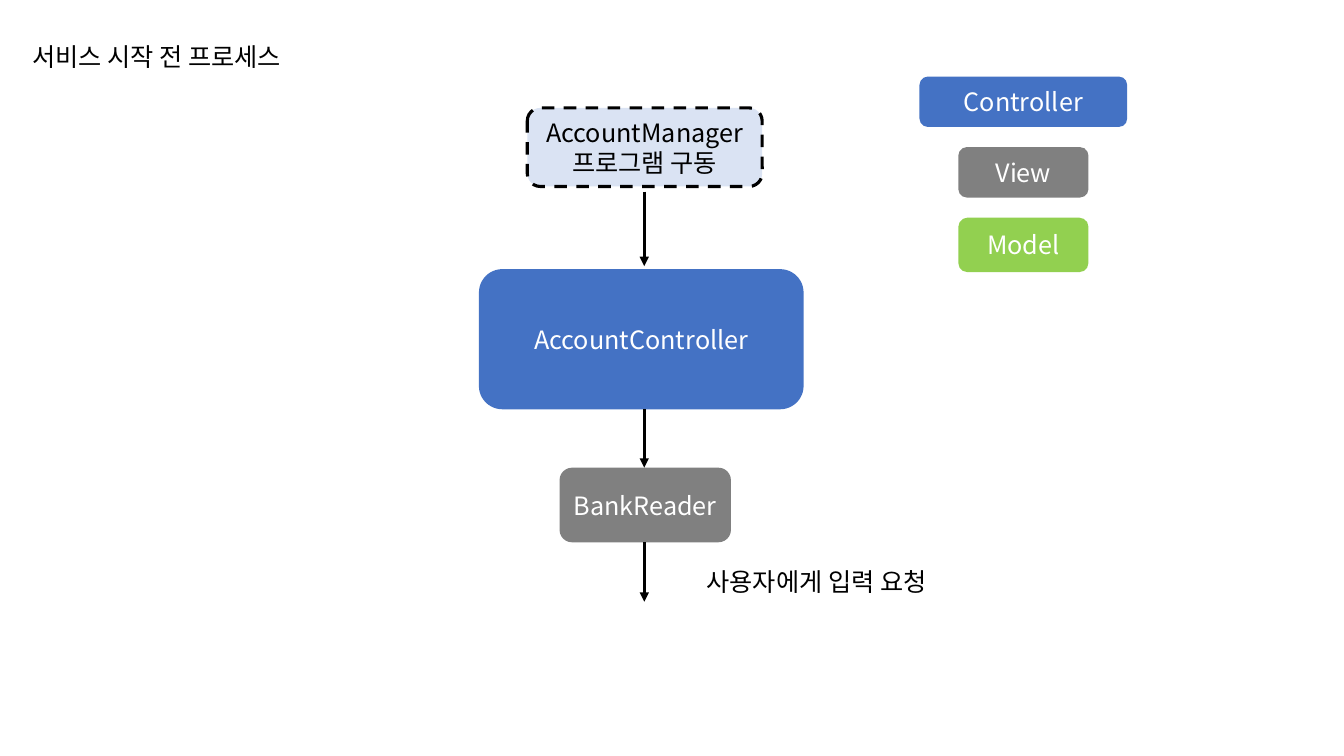
"""Build the slide showing the process before the service starts."""
from lxml import etree
from pptx import Presentation
from pptx.dml.color import RGBColor
from pptx.enum import dml, shapes, text
from pptx.oxml.ns import qn
from pptx.util import Inches, Pt

FONT = "Noto Sans CJK KR"
BLACK = RGBColor(0x00, 0x00, 0x00)
WHITE = RGBColor(0xFF, 0xFF, 0xFF)
BLUE = RGBColor(0x44, 0x72, 0xC4)
PALE_BLUE = RGBColor(0xDA, 0xE3, 0xF3)
GRAY = RGBColor(0x80, 0x80, 0x80)
GREEN = RGBColor(0x92, 0xD0, 0x50)

HEADING = ("서비스 시작 전 프로세스", (0.22, 0.36, 3.49, 0.4))
REQUEST = ("사용자에게 입력 요청", (6.91, 5.57, 2.59, 0.4))
START = ("AccountManager\n프로그램 구동", (5.23, 1.07, 2.33, 0.78), PALE_BLUE, BLACK)
STEPS = [
    ("AccountController", (4.75, 2.67, 3.22, 1.39), BLUE, WHITE),
    ("BankReader", (5.55, 4.64, 1.7, 0.74), GRAY, WHITE),
]
LEGEND = [
    ("Controller", 2.06, 0.5, BLUE),
    ("View", 1.29, 0.5, GRAY),
    ("Model", 1.29, 0.54, GREEN),
]
LEGEND_CENTER, LEGEND_TOP, LEGEND_PITCH = 10.15, 0.76, 0.7
FLOW_X = 6.39
FLOW_SPANS = [(1.9, 2.64), (4.06, 4.64), (5.38, 5.97)]


def write(holder, words, color, align, anchor, wrap):
    frame = holder.text_frame
    frame.text = words
    layout = {"word_wrap": wrap, "vertical_anchor": anchor,
              "auto_size": text.MSO_AUTO_SIZE.NONE}
    for name, value in layout.items():
        setattr(frame, name, value)
    for paragraph in frame.paragraphs:
        paragraph.alignment = align
        paragraph.line_spacing = 1.0
        for run in paragraph.runs:
            for name, value in {"name": FONT, "size": Pt(18)}.items():
                setattr(run.font, name, value)
            run.font.color.rgb = color
            etree.SubElement(run.font._element, qn("a:ea"), typeface=FONT)


def write_plain(holder, words):
    write(holder, words, BLACK, text.PP_ALIGN.LEFT, text.MSO_ANCHOR.TOP, True)


def add_box(slide, words, place, fill, color):
    box = slide.shapes.add_shape(
        shapes.MSO_SHAPE.ROUNDED_RECTANGLE, *map(Inches, place))
    box.shadow.inherit = False
    box.fill.solid()
    box.fill.fore_color.rgb = fill
    box.line.fill.background()
    write(box, words, color, text.PP_ALIGN.CENTER, text.MSO_ANCHOR.MIDDLE, False)
    return box


def outline(line):
    line.color.rgb = BLACK
    line.width = Pt(2.25)


def add_arrow(slide, top, bottom):
    arrow = slide.shapes.add_connector(
        shapes.MSO_CONNECTOR.STRAIGHT,
        *map(Inches, (FLOW_X, top, FLOW_X, bottom)))
    outline(arrow.line)
    etree.SubElement(arrow.line._get_or_add_ln(), qn("a:tailEnd"), type="triangle")
    etree.SubElement(arrow._element.spPr, qn("a:effectLst"))


deck = Presentation()
deck.slide_width, deck.slide_height = Inches(13.33), Inches(7.5)
slide = deck.slides.add_slide(deck.slide_layouts[5])

heading_words, heading_place = HEADING
heading = slide.shapes.title
for side, length in zip(("left", "top", "width", "height"), heading_place):
    setattr(heading, side, Inches(length))
write_plain(heading, heading_words)

start = add_box(slide, *START)
outline(start.line)
start.line.dash_style = dml.MSO_LINE.DASH
for step in STEPS:
    add_box(slide, *step)
for span in FLOW_SPANS:
    add_arrow(slide, *span)

for row, (role, width, height, fill) in enumerate(LEGEND):
    place = (LEGEND_CENTER - width / 2, LEGEND_TOP + row * LEGEND_PITCH, width, height)
    add_box(slide, role, place, fill, WHITE)

request_words, request_place = REQUEST
write_plain(slide.shapes.add_textbox(*map(Inches, request_place)), request_words)

deck.save("out.pptx")
